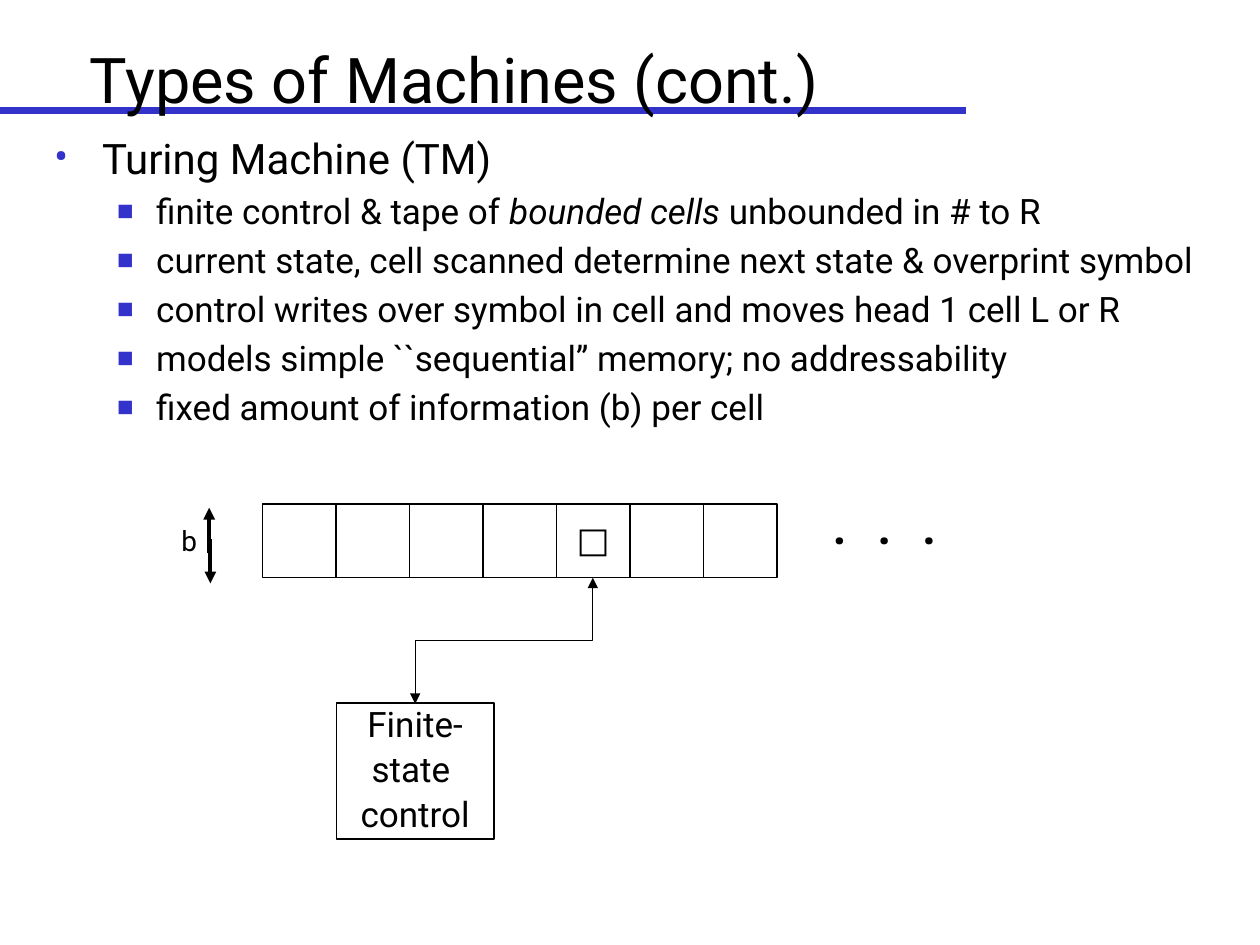
from lxml import etree
from pptx import Presentation
from pptx.dml.color import RGBColor
from pptx.enum.shapes import MSO_CONNECTOR, MSO_SHAPE
from pptx.enum.text import MSO_ANCHOR, MSO_AUTO_SIZE, PP_ALIGN
from pptx.oxml.ns import qn
from pptx.util import Inches, Pt

STRAIGHT, ELBOW = MSO_CONNECTOR.STRAIGHT, MSO_CONNECTOR.ELBOW
RECTANGLE = MSO_SHAPE.RECTANGLE
MIDDLE, TOP = MSO_ANCHOR.MIDDLE, MSO_ANCHOR.TOP
LEFT, CENTER = PP_ALIGN.LEFT, PP_ALIGN.CENTER
NO_FIT, GROW = MSO_AUTO_SIZE.NONE, MSO_AUTO_SIZE.SHAPE_TO_FIT_TEXT
BLACK, WHITE, BLUE = "000000", "FFFFFF", "3333CC"
FONT = "Roboto"


def color(value):
    return RGBColor.from_string(value)


def write(shape, lines, size, align, anchor):
    """Fill a diagram shape with unwrapped, tightly spaced lines."""
    frame = shape.text_frame
    frame.word_wrap = False
    frame.vertical_anchor = anchor
    frame.text = "\n".join(lines)
    for paragraph in frame.paragraphs:
        paragraph.alignment = align
        paragraph.line_spacing = 0.9
        paragraph.space_before = Pt(0.2 * size)
        font = paragraph.runs[0].font
        font.name, font.size = FONT, Pt(size)
        font.color.rgb = color(BLACK)


prs = Presentation()
prs.slide_width, prs.slide_height = Inches(10), Inches(7.5)
slide = prs.slides.add_slide(prs.slide_layouts[1])
shapes = slide.shapes
title, body = slide.placeholders

# Title and list
for placeholder, box, anchor in [
    (title, (0.5, 0.21, 9.25, 0.83), MIDDLE),
    (body, (0.33, 1, 9.25, 5.92), TOP),
]:
    placeholder.left, placeholder.top, placeholder.width, placeholder.height = map(Inches, box)
    placeholder.text_frame.auto_size = NO_FIT
    placeholder.text_frame.vertical_anchor = anchor

title.text_frame.text = " Types of Machines (cont.)"
heading = title.text_frame.paragraphs[0]
heading.alignment = LEFT
heading.font.name, heading.font.size = FONT, Pt(36)
heading.font.color.rgb = color(BLACK)

# Each item is split into runs; every second run is italic
items = [
    (0, ["Turing Machine (TM)"]),
    (1, ["finite control & tape of ", "bounded cells ", "unbounded in # to R"]),
    (1, ["current state, cell scanned determine next state & overprint symbol"]),
    (1, ["control writes over symbol in cell and moves head 1 cell L or R"]),
    (1, ["models simple ``sequential’’ memory; no addressability"]),
    (1, ["fixed amount of information (b) per cell"]),
]
levels = [
    {"size": 24, "margin": 0.38, "indent": -0.38, "bullet": "•", "scale": 100},
    {"size": 20, "margin": 0.81, "indent": -0.31, "bullet": "■", "scale": 50},
]
for index, (level, parts) in enumerate(items):
    style = levels[level]
    paragraph = body.text_frame.paragraphs[0] if index == 0 else body.text_frame.add_paragraph()
    paragraph.level = level
    for position, part in enumerate(parts):
        run = paragraph.add_run()
        run.text = part
        run.font.name, run.font.size = FONT, Pt(style["size"])
        run.font.italic = position % 2 == 1
        run.font.color.rgb = color(BLACK)
    properties = paragraph._p.get_or_add_pPr()
    properties.set("marL", str(Inches(style["margin"])))
    properties.set("indent", str(Inches(style["indent"])))
    bullet_color = etree.SubElement(properties, qn("a:buClr"))
    etree.SubElement(bullet_color, qn("a:srgbClr"), val=BLUE)
    etree.SubElement(properties, qn("a:buSzPct"), val=str(style["scale"] * 1000))
    etree.SubElement(properties, qn("a:buFont"), typeface=FONT)
    etree.SubElement(properties, qn("a:buChar"), char=style["bullet"])

# Tape cells and the control box
CELL = 7 / 12
SCANNED = 4
boxes = [(25 / 12 + i * CELL, 4, CELL, CELL, ["□"] if i == SCANNED else []) for i in range(7)]
boxes.append((2.67, 5.58, 1.25, 1.08, ["Finite-", "state ", "control"]))
for left, top, width, height, lines in boxes:
    box = shapes.add_shape(RECTANGLE, Inches(left), Inches(top), Inches(width), Inches(height))
    box.shadow.inherit = False
    box.fill.solid()
    box.fill.fore_color.rgb = color(WHITE)
    box.line.color.rgb = color(BLACK)
    box.line.width = Pt(0.75)
    if lines:
        write(box, lines, 20, CENTER, MIDDLE)

# Tape continuation dots and cell height label
for left, top, width, height, lines, size, rotation in [
    (6.83, 3.75, 0.33, 1.13, ["•"] * 3, 20, 90),
    (1.34, 4.14, 0.32, 0.34, ["b"], 16, 0),
]:
    label = shapes.add_textbox(Inches(left), Inches(top), Inches(width), Inches(height))
    label.rotation = rotation
    write(label, lines, size, LEFT, TOP)
    label.text_frame.auto_size = GROW

# Title rule, height arrows and the head link, which is turned to leave vertically
for kind, ends, line_color, width, arrows, turn in [
    (STRAIGHT, (0, 0.88, 7.67, 0.88), BLUE, 4, [], 0),
    (STRAIGHT, (1.66, 4.39, 1.66, 4.03), BLACK, 2.25, ["tailEnd"], 0),
    (STRAIGHT, (1.67, 4.28, 1.67, 4.63), BLACK, 2.25, ["tailEnd"], 0),
    (ELBOW, (3.5, 4.38, 4.5, 5.79), BLACK, 0.75, ["headEnd", "tailEnd"], 270),
]:
    connector = shapes.add_connector(kind, *map(Inches, ends))
    connector.line.color.rgb = color(line_color)
    connector.line.width = Pt(width)
    outline = connector.line._get_or_add_ln()
    for arrow in arrows:
        etree.SubElement(outline, qn(f"a:{arrow}"), type="triangle")
    connector_properties = connector._element.spPr
    etree.SubElement(connector_properties, qn("a:effectLst"))
    if turn:
        connector_properties.find(qn("a:xfrm")).set("rot", str(turn * 60000))
    if line_color == BLUE:
        shapes._spTree.insert(2, connector._element)

prs.save("out.pptx")
